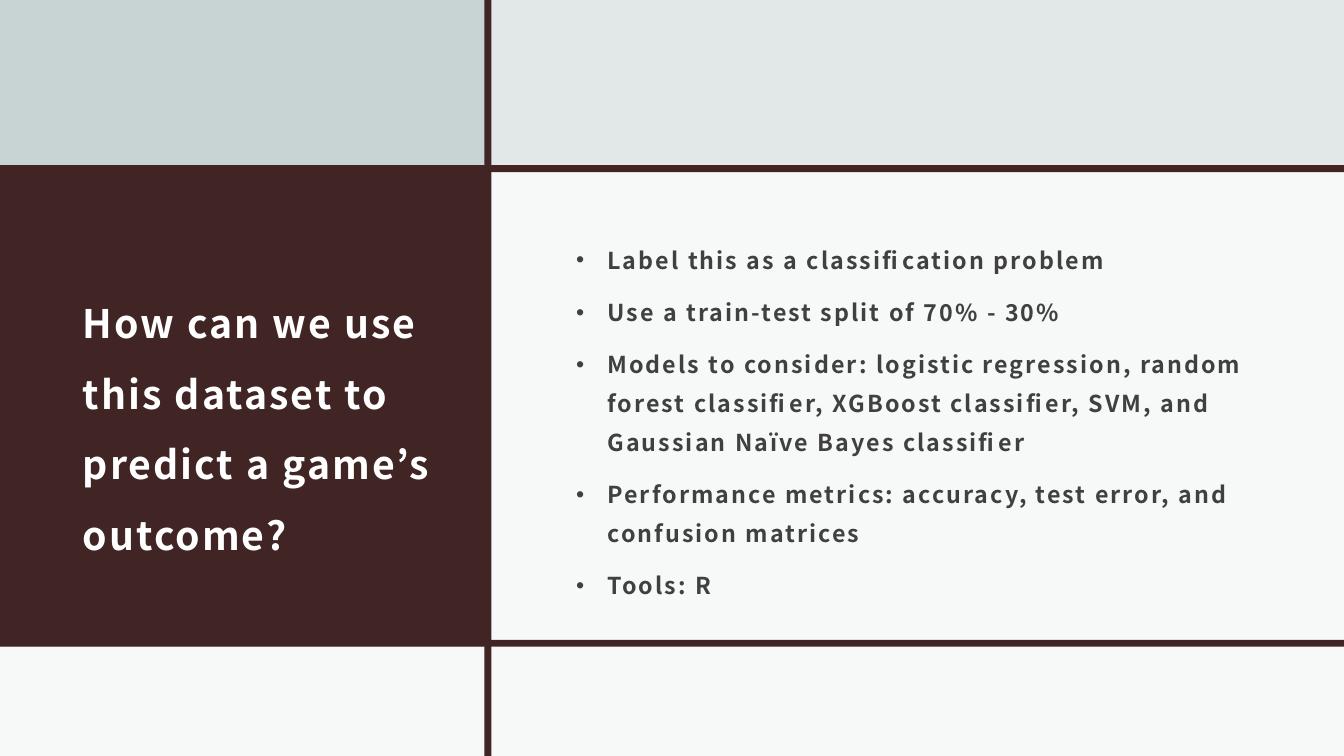
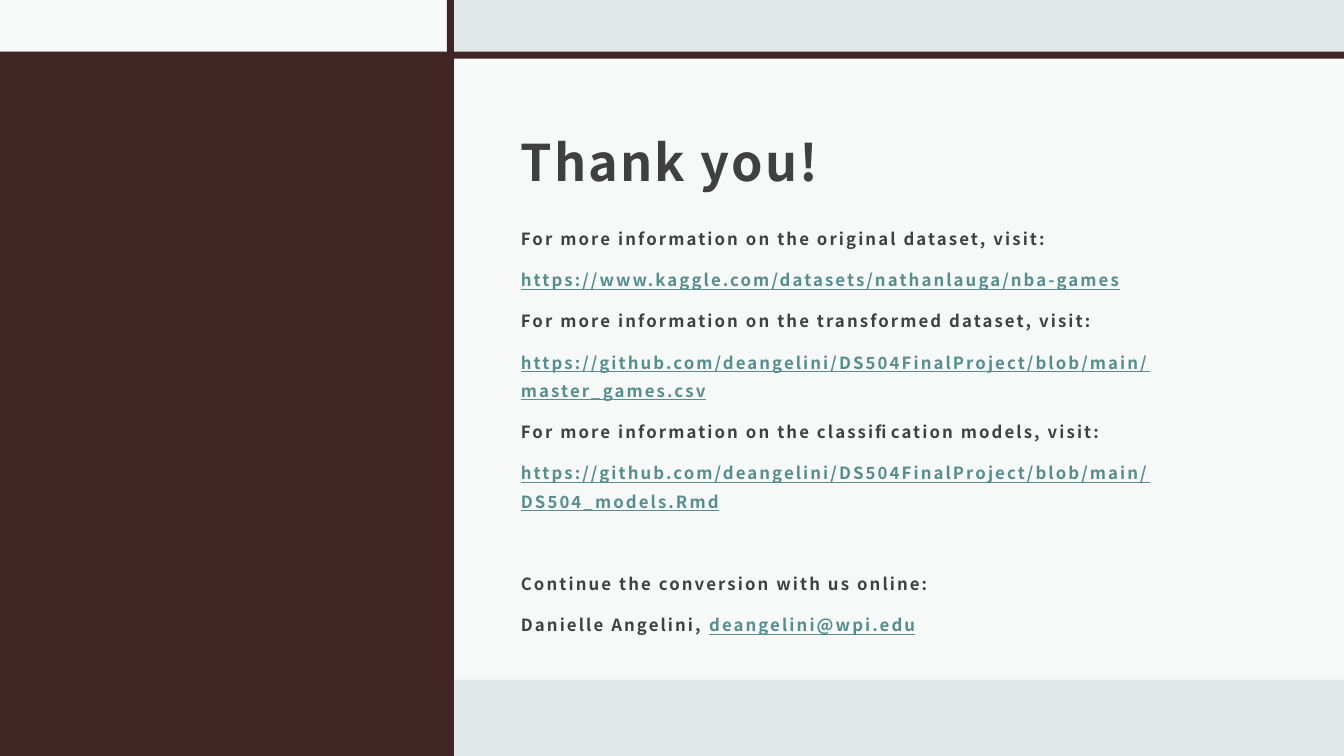
from dataclasses import dataclass

from lxml import etree
from pptx import Presentation
from pptx import util as u
from pptx.dml import color as c
from pptx.enum import shapes, text
from pptx.oxml import ns

Pt = u.Pt


@dataclass(frozen=True)
class Theme:
    font: str = "Noto Sans CJK JP"
    back: str = "E2E8E8"
    mist: str = "C8D4D4"
    wine: str = "412524"
    white: str = "FFFFFF"
    ink: str = "404040"
    link: str = "568D8F"
    veil: int = 75         # opacity of the white panels, percent
    bar: float = 5         # thickness of the grid bars
    head: float = 28
    big: float = 36
    list: float = 16.6
    note: float = 12
    wide: float = 1.8      # line pitch of titles, times the type size
    pitch: float = 1.68    # line pitch of body text
    gap: float = 9.3
    dent: float = 22.3


T = Theme()
W, H = 960, 540

# Content: a paragraph is a list of (text, is link) runs
PLAN = {
    "title": "How can we use this dataset to predict a game’s outcome?",
    "body": [
        "Label this as a classification problem",
        "Use a train-test split of 70% - 30%",
        "Models to consider: logistic regression, random forest classifier, "
        "XGBoost classifier, SVM, and Gaussian Naïve Bayes classifier",
        "Performance metrics: accuracy, test error, and confusion matrices",
        "Tools: R",
    ],
}
REPO = "https://github.com/deangelini/DS504FinalProject/blob/main/"
THANKS = {
    "title": "Thank you!",
    "body": [
        "For more information on the original dataset, visit:",
        [("https://www.kaggle.com/datasets/nathanlauga/nba-games", True)],
        "For more information on the transformed dataset, visit:",
        [(REPO + "master_games.csv", True)],
        "For more information on the classification models, visit:",
        [(REPO + "DS504_models.Rmd", True)],
        "Continue the conversion with us online:",
        [("Danielle Angelini, ", False), ("deangelini@wpi.edu", True)],
    ],
}

# Panels and bars, back to front: left, top, width, height, colour, opacity
PLAN_GRID = [
    (0, 118, 348.5, 344, T.wine, 100),
    (0, 0, 348.5, 119.5, T.mist, 100),
    (348.5, 119.5, W - 348.5, 342.5, T.white, T.veil),
    (0, 118, W, T.bar, T.wine, 100),
    (0, 461.5, W, H - 461.5, T.white, T.veil),
    (0, 457, W, T.bar, T.wine, 100),
    (346, 0, T.bar, H, T.wine, 100),
]
THANKS_GRID = [
    (0, 37, 319.5, H - 37, T.wine, 100),
    (0, 0, 322, 39.5, T.white, T.veil),
    (319.3, 0, T.bar, H, T.wine, 100),
    (0, 37, W, T.bar, T.wine, 100),
    (324.5, 42, W - 324.5, 443.5, T.white, T.veil),
]


def panel(slide, x, y, w, h, tone, clear):
    box = slide.shapes.add_shape(
        shapes.MSO_SHAPE.RECTANGLE, Pt(x), Pt(y), Pt(w), Pt(h))
    box.shadow.inherit = False
    box.line.fill.background()
    box.fill.solid()
    box.fill.fore_color.rgb = c.RGBColor.from_string(tone)
    if clear < 100:
        rgb = box.element.spPr.find(".//" + ns.qn("a:srgbClr"))
        etree.SubElement(rgb, ns.qn("a:alpha"), val=str(clear * 1000))


def write(box, paras, at, *, size, tone=T.ink, pitch=T.pitch, mark=None,
          mid=True, breaks=()):
    """Place a text box and fill it; breaks lists paragraphs one line lower."""
    box.left, box.top, box.width, box.height = map(Pt, at)
    box.element.getparent().append(box.element)  # bring to the front
    frame = box.text_frame
    frame.word_wrap = True
    frame.auto_size = text.MSO_AUTO_SIZE.NONE
    frame.vertical_anchor = text.MSO_ANCHOR.MIDDLE if mid else text.MSO_ANCHOR.TOP
    frame.margin_left = frame.margin_right = frame.margin_top = Pt(8.6)
    frame.margin_bottom = Pt(7.2)
    lead = size * pitch
    for i, runs in enumerate(paras):
        para = frame.paragraphs[0] if i == 0 else frame.add_paragraph()
        props = para._p.get_or_add_pPr()
        dent = Pt(T.dent) if mark else 0
        props.set("marL", str(dent))
        props.set("indent", str(-dent))
        if mark:
            etree.SubElement(props, ns.qn("a:buFont"), typeface="Arial")
            etree.SubElement(props, ns.qn("a:buChar"), char=mark)
        else:
            etree.SubElement(props, ns.qn("a:buNone"))
        para.alignment = text.PP_ALIGN.LEFT
        para.line_spacing = Pt(lead)
        skip = T.gap + lead if i in breaks else 0
        para.space_before = Pt(T.gap + skip if i else 0)
        para.space_after = Pt(0)
        for words, link in [(runs, False)] if isinstance(runs, str) else runs:
            run = para.add_run()
            run.text = words
            font = run.font
            font.name, font.size, font.bold = T.font, Pt(size), True
            font.underline = link
            font.color.rgb = c.RGBColor.from_string(T.link if link else tone)
            run._r.get_or_add_rPr().set("spc", "150")


def build(deck, grid):
    slide = deck.slides.add_slide(deck.slide_layouts[1])
    for part in grid:
        panel(slide, *part)
    return slide.shapes.title, slide.placeholders[1]


def main():
    deck = Presentation()
    deck.slide_width, deck.slide_height = Pt(W), Pt(H)
    fill = deck.slide_master.background.fill
    fill.solid()
    fill.fore_color.rgb = c.RGBColor.from_string(T.back)

    # Question and approach
    title, body = build(deck, PLAN_GRID)
    write(title, [PLAN["title"]], (50.5, 154, 268.5, 286.5),
          size=T.head, tone=T.white, pitch=T.wide)
    write(body, PLAN["body"], (403, 154, 506, 286.5), size=T.list, mark="•")

    # Closing and contacts
    title, body = build(deck, THANKS_GRID)
    write(title, [THANKS["title"]], (363.5, 58.5, 532, 90.5),
          size=T.big, pitch=T.wide)
    write(body, THANKS["body"], (363.5, 149, 568, 336),
          size=T.note, mid=False, breaks=(6,))

    deck.save("out.pptx")


if __name__ == "__main__":
    main()
